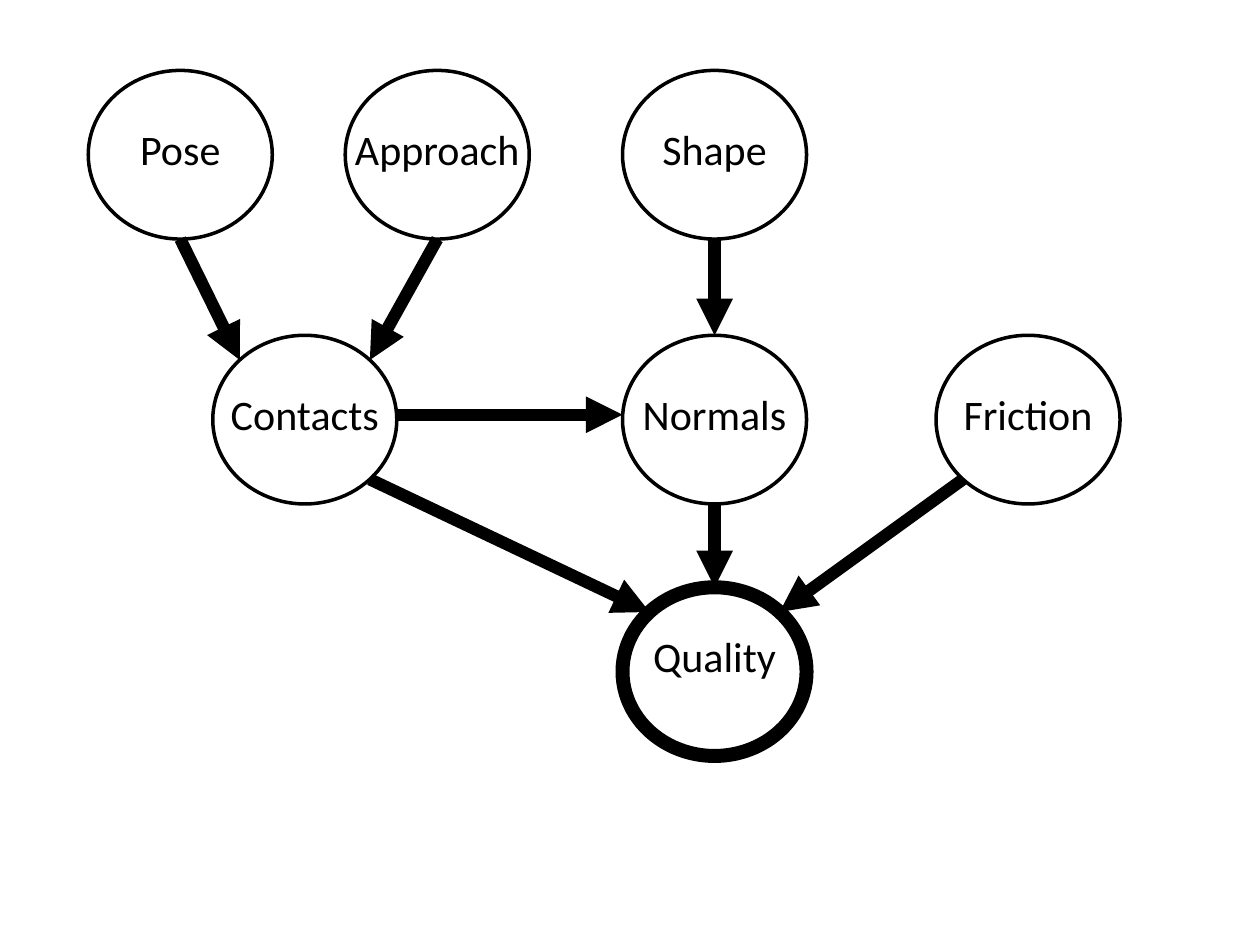
from math import cos, radians, sin

from pptx import Presentation
from pptx.dml.color import RGBColor as RGB
from pptx.enum.shapes import MSO_CONNECTOR as CONN, MSO_SHAPE as SHAPE
from pptx.enum.text import MSO_AUTO_SIZE as FIT, PP_ALIGN as ALIGN
from pptx.oxml import parse_xml
from pptx.oxml.ns import nsdecls
from pptx.util import Cm, Pt

NODE_W, NODE_H = 3.71, 3.4
LABEL_W, LABEL_H = 4.29, 1.27
ROW_1, ROW_2, ROW_3 = 1.42, 6.76, 11.84
MAIN_COL = 12.55
TOP, RIGHT, BOTTOM, LEFT = -90, 0, 90, 180
TOP_RIGHT, BOTTOM_RIGHT, BOTTOM_LEFT, TOP_LEFT = -45, 45, 135, -135

NODES = {
    "Approach": (6.96, ROW_1),
    "Shape": (MAIN_COL, ROW_1),
    "Contacts": (4.29, ROW_2),
    "Friction": (18.87, ROW_2),
    "Normals": (MAIN_COL, ROW_2),
    "Pose": (1.78, ROW_1),
    "Quality": (MAIN_COL, ROW_3),
}
ARROWS = [
    ("Pose", BOTTOM, "Contacts", TOP_LEFT, 0),
    ("Approach", BOTTOM, "Contacts", TOP_RIGHT, 0),
    ("Contacts", RIGHT, "Normals", LEFT, -0.1),
    ("Contacts", BOTTOM_RIGHT, "Quality", TOP_LEFT, 0),
    ("Normals", BOTTOM, "Quality", TOP, 0),
    ("Friction", BOTTOM_LEFT, "Quality", TOP_RIGHT, 0),
    ("Shape", BOTTOM, "Normals", TOP, 0),
]


def color(value):
    return RGB.from_string(value)


def rim(name, angle, dy):
    x, y = NODES[name]
    a = radians(angle)
    return (Cm(x + NODE_W / 2 * (1 + cos(a))),
            Cm(y + NODE_H / 2 * (1 + sin(a)) + dy))


class Diagram:
    """Draws labelled nodes and arrows on a slide in one style."""

    font, size = "Calibri", 24
    ink, paper = "000000", "FFFFFF"

    def __init__(self, slide):
        self.s = slide

    def node(self, name, x, y, weight=2, drop=0.95):
        group = self.s.shapes.add_group_shape()
        sp = group.shapes.add_shape(SHAPE.OVAL, Cm(x), Cm(y), Cm(NODE_W), Cm(NODE_H))
        sp.shadow.inherit = False
        sp.fill.solid()
        sp.fill.fore_color.rgb = color(self.paper)
        sp.line.color.rgb = color(self.ink)
        sp.line.width = Pt(weight)
        self.label(group, name, x + (NODE_W - LABEL_W) / 2, y + drop)

    def label(self, group, text, x, y):
        tf = group.shapes.add_textbox(Cm(x), Cm(y), Cm(LABEL_W), Cm(LABEL_H)).text_frame
        tf.word_wrap = True
        tf.auto_size = FIT.SHAPE_TO_FIT_TEXT
        p = tf.paragraphs[0]
        p.alignment = ALIGN.CENTER
        r = p.add_run()
        r.text = text
        r.font.name, r.font.size = self.font, Pt(self.size)
        r.font.color.rgb = color(self.ink)

    def arrow(self, start, end):
        ln = self.s.shapes.add_connector(CONN.STRAIGHT, *start, *end)
        ln.line.color.rgb = color(self.ink)
        ln.line.width = Pt(7)
        ln.line._get_or_add_ln().append(
            parse_xml(f'<a:tailEnd {nsdecls("a")} type="triangle"/>'))
        ln._element.spPr.append(parse_xml(f'<a:effectLst {nsdecls("a")}/>'))


def main():
    prs = Presentation()
    prs.slide_width, prs.slide_height = Cm(25.4), Cm(19.05)
    diagram = Diagram(prs.slides.add_slide(prs.slide_layouts[6]))
    for name, (x, y) in NODES.items():
        emphasis = {"weight": 8, "drop": 0.74} if name == "Quality" else {}
        diagram.node(name, x, y, **emphasis)
    for source, leave, target, arrive, dy in ARROWS:
        diagram.arrow(rim(source, leave, dy), rim(target, arrive, dy))
    prs.save("out.pptx")


if __name__ == "__main__":
    main()
